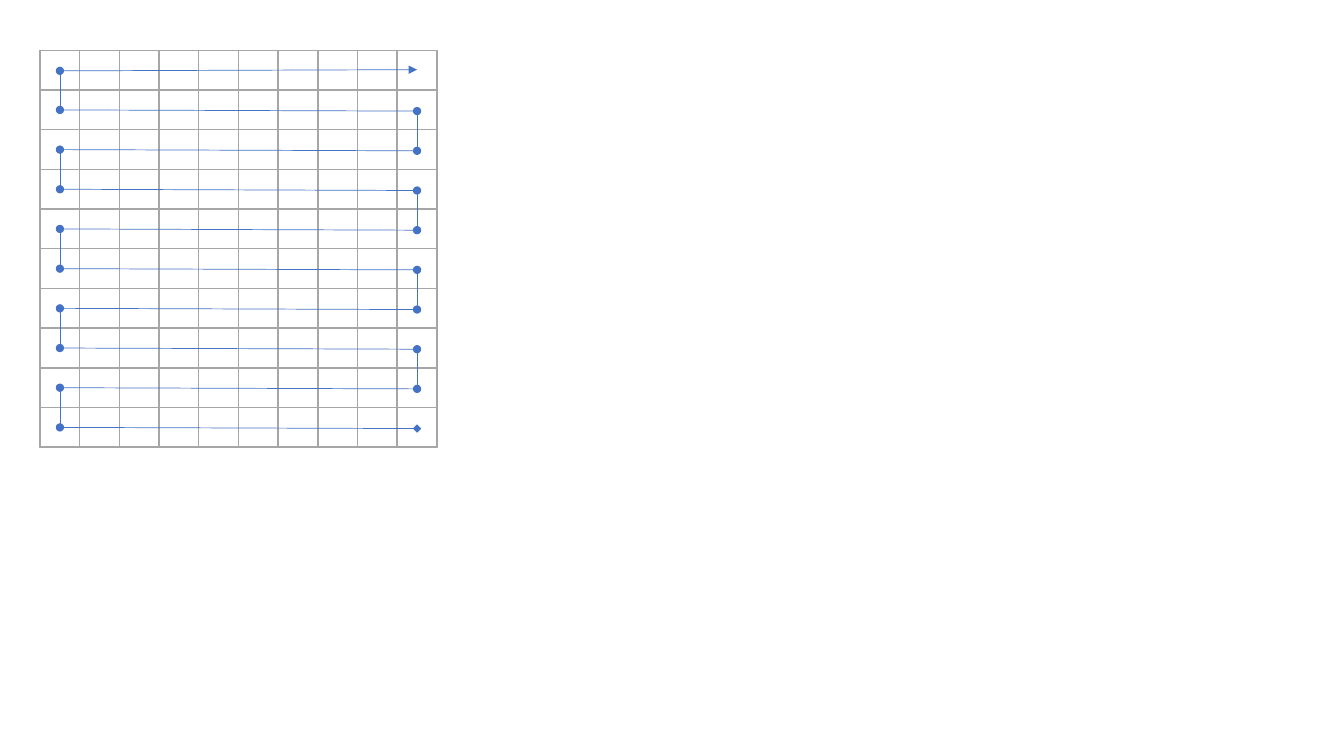
from lxml.etree import SubElement
from pptx import Presentation
from pptx.dml.color import RGBColor as Rgb
from pptx.enum.shapes import MSO_CONNECTOR as Link, MSO_SHAPE as Shape
from pptx.oxml.ns import qn
from pptx.util import Cm, Pt

COLORS = {"cell": "FFFFFF", "grid": "A6A6A6", "path": "4472C4"}
COUNT = 10  # rows and columns
CELL = 1.0  # all lengths in cm
LEFT, TOP = 1.01, 1.27
SIDE = COUNT * CELL
TILT = 0.03  # the right end of a sweep sits slightly lower
WEST, EAST = LEFT + CELL / 2, LEFT + SIDE - CELL / 2
# Marks at the start and end of each sweep, from the bottom row up
MARKS = [("diamond", "oval")] + [("oval", "oval")] * (COUNT - 2)
LAST = ("oval", "triangle")


def add_box(group, x, y, wide, high, fill=None):
    """Add one outlined rectangle of the grid."""
    box = group.shapes.add_shape(Shape.RECTANGLE, Cm(x), Cm(y), Cm(wide), Cm(high))
    box.shadow.inherit = False
    if fill:
        box.fill.solid()
        box.fill.fore_color.rgb = Rgb.from_string(fill)
    else:
        box.fill.background()
    box.line.color.rgb = Rgb.from_string(COLORS["grid"])
    box.line.width = Pt(1)


def add_line(group, start, end, marks=()):
    """Add a path line, with a mark at each end if given."""
    line = group.shapes.add_connector(Link.STRAIGHT, *map(Cm, start + end))
    line.line.color.rgb = Rgb.from_string(COLORS["path"])
    line.line.width = Pt(0.5)
    props = line._element.spPr
    for tag, mark in zip(("a:headEnd", "a:tailEnd"), marks):
        SubElement(props.find(qn("a:ln")), qn(tag), type=mark)
    SubElement(props, qn("a:effectLst"))


def mid(row):
    """Give the height of a row's centre."""
    return TOP + (row + 0.5) * CELL


def draw_grid(group):
    """Draw the board, its columns and then its rows."""
    add_box(group, LEFT, TOP, SIDE, SIDE, COLORS["cell"])
    for col in range(COUNT - 1):
        add_box(group, LEFT + col * CELL, TOP, CELL, SIDE, COLORS["cell"])
    for row in range(COUNT - 1, 0, -1):
        add_box(group, LEFT, TOP + row * CELL, SIDE, CELL)


def draw_path(group):
    """Draw the sweeps from the bottom up, then the links between rows."""
    for step, marks in enumerate(MARKS):
        y = mid(COUNT - 1 - step)
        add_line(group, (EAST, y + TILT), (WEST, y), marks)
    add_line(group, (WEST, mid(0) + TILT / 2), (EAST, mid(0) - TILT / 2), LAST)
    for row in range(COUNT - 2, -1, -1):
        x, drop = (EAST, TILT) if row % 2 else (WEST, 0)
        add_line(group, (x, mid(row) + drop), (x, mid(row + 1) + drop))


deck = Presentation()
deck.slide_width, deck.slide_height = Cm(33.87), Cm(19.05)
slide = deck.slides.add_slide(deck.slide_layouts[6])
board = slide.shapes.add_group_shape()
draw_grid(board)
draw_path(board)
deck.save("out.pptx")
